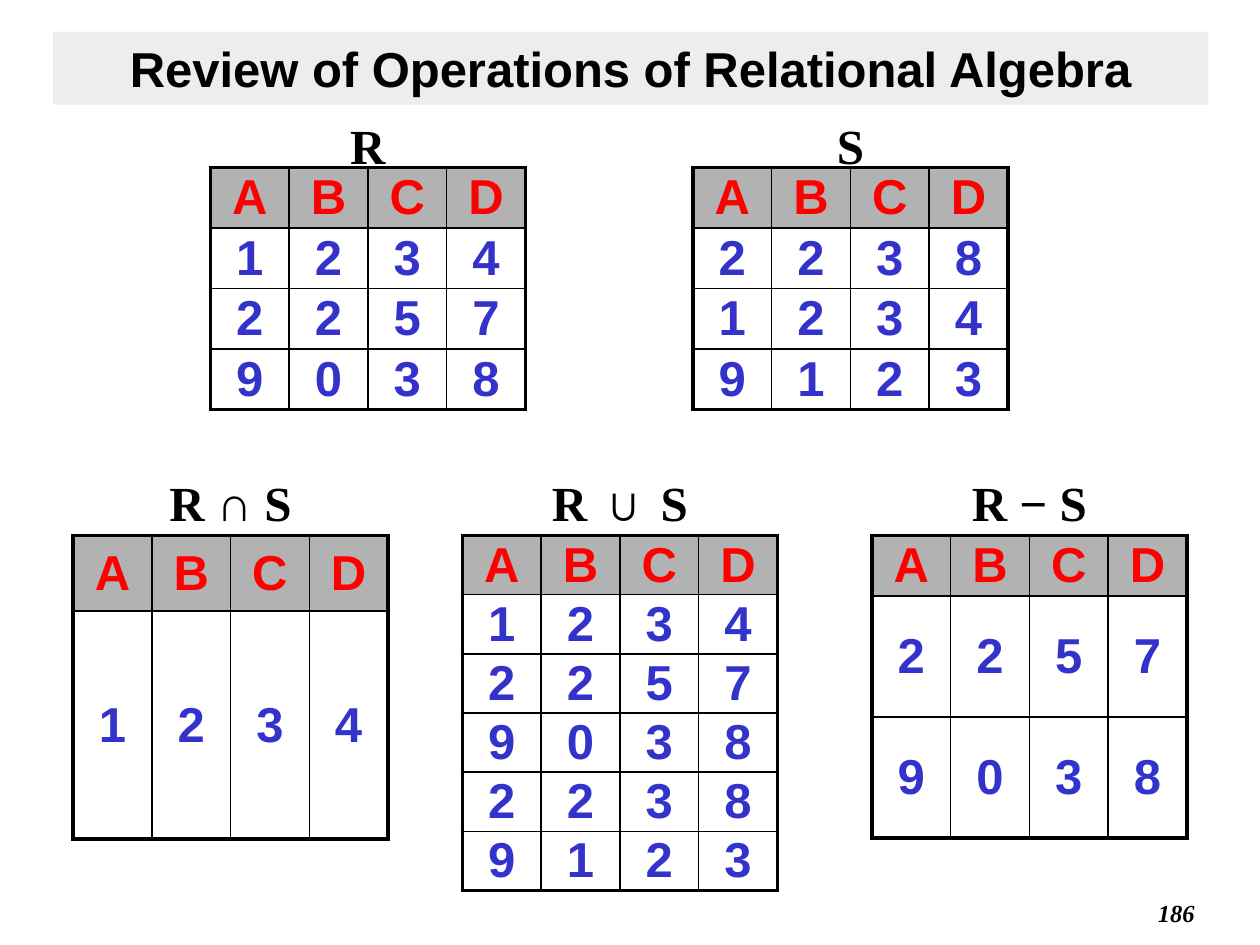
from pptx import Presentation
from pptx import util as u
from pptx.dml.color import RGBColor
from pptx.enum import shapes, text
from pptx.oxml import ns
from lxml import etree

THEME = {
    "ink": "000000", "head": "FF0000", "body": "3333CC",
    "shade": "B2B2B2", "band": "DDDDDD",
    "big": 28, "small": 14, "thick": 2.25, "thin": 1,
    "sans": "Arial", "serif": "Times New Roman",
}
FLAT = {"margin_left": 0, "margin_right": 0, "margin_top": 0, "margin_bottom": 0}
MID = text.MSO_ANCHOR.MIDDLE


def write(frame, words, face, tint="ink", size="big", side="CENTER", slant=False):
    para = frame.paragraphs[0]
    para.alignment = getattr(text.PP_ALIGN, side)
    run = para.add_run()
    run.text = words
    style = {"name": THEME[face], "size": u.Pt(THEME[size]), "bold": True, "italic": slant}
    for key, val in style.items():
        setattr(run.font, key, val)
    run.font.color.rgb = RGBColor.from_string(THEME[tint])


def edge(cell, side, width):
    line = etree.SubElement(cell._tc.get_or_add_tcPr(), ns.qn("a:ln" + side), w=str(u.Pt(width)))
    fill = etree.SubElement(line, ns.qn("a:solidFill"))
    etree.SubElement(fill, ns.qn("a:srgbClr"), val=THEME["ink"])


deck = Presentation()
deck.slide_width, deck.slide_height = u.Inches(10), u.Inches(7.5)
slide = deck.slides.add_slide(deck.slide_layouts[6])

page = slide.shapes.add_textbox(u.Inches(7.5), u.Inches(7.08), u.Inches(2.08), u.Inches(0.33))
page.text_frame.word_wrap = True
write(page.text_frame, "186", "serif", size="small", side="RIGHT", slant=True)

title = slide.shapes.add_shape(shapes.MSO_SHAPE.RECTANGLE, u.Inches(0.42), u.Inches(0.25),
                               u.Inches(9.17), u.Inches(0.58))
title.shadow.inherit = False
title.line.fill.background()
title.fill.solid()
title.fill.fore_color.rgb = RGBColor.from_string(THEME["band"])
tone = title.fill._xPr.find(".//" + ns.qn("a:srgbClr"))
etree.SubElement(tone, ns.qn("a:alpha"), val="50000")
title.text_frame.vertical_anchor = MID
title.text_frame.word_wrap = True
write(title.text_frame, "Review of Operations of Relational Algebra", "sans")

WIDE = 2.5
tables = [
    ("R", 1.67, 0.92, 1.33, 0.48, 0.48, ["1234", "2257", "9038"]),
    ("S", 5.5, 0.92, 1.33, 0.48, 0.48, ["2238", "1234", "9123"]),
    ("R ∩ S", 0.58, 3.75, 4.25, 0.6, 1.81, ["1234"]),
    ("R ∪ S", 3.67, 3.75, 4.25, 0.47, 0.47, ["1234", "2257", "9038", "2238", "9123"]),
    ("R − S", 6.92, 3.75, 4.25, 0.48, 0.96, ["2257", "9038"]),
]

for name, left, high, top, first, rest, rows in tables:
    grid = ["ABCD"] + rows
    tall = first + rest * len(rows)
    table = slide.shapes.add_table(len(grid), 4, u.Inches(left), u.Inches(top),
                                   u.Inches(WIDE), u.Inches(tall)).table
    table.first_row = table.horz_banding = False
    for col in table.columns:
        col.width = u.Inches(WIDE / 4)
    for r, row in enumerate(grid):
        table.rows[r].height = u.Inches(rest if r else first)
        for c, mark in enumerate(row):
            cell = table.cell(r, c)
            for key, val in {**FLAT, "vertical_anchor": MID}.items():
                setattr(cell, key, val)
            write(cell.text_frame, mark, "sans", "body" if r else "head")
            outer = {"L": c == 0, "R": c == 3, "T": r == 0, "B": r == len(rows)}
            for side, rim in outer.items():
                edge(cell, side, THEME["thick" if rim else "thin"])
            if r:
                cell.fill.background()
            else:
                cell.fill.solid()
                cell.fill.fore_color.rgb = RGBColor.from_string(THEME["shade"])
    label = slide.shapes.add_textbox(u.Inches(left), u.Inches(high), u.Inches(WIDE), u.Inches(0.47))
    for key, val in {**FLAT, "word_wrap": True}.items():
        setattr(label.text_frame, key, val)
    write(label.text_frame, name, "serif")

deck.save("out.pptx")
